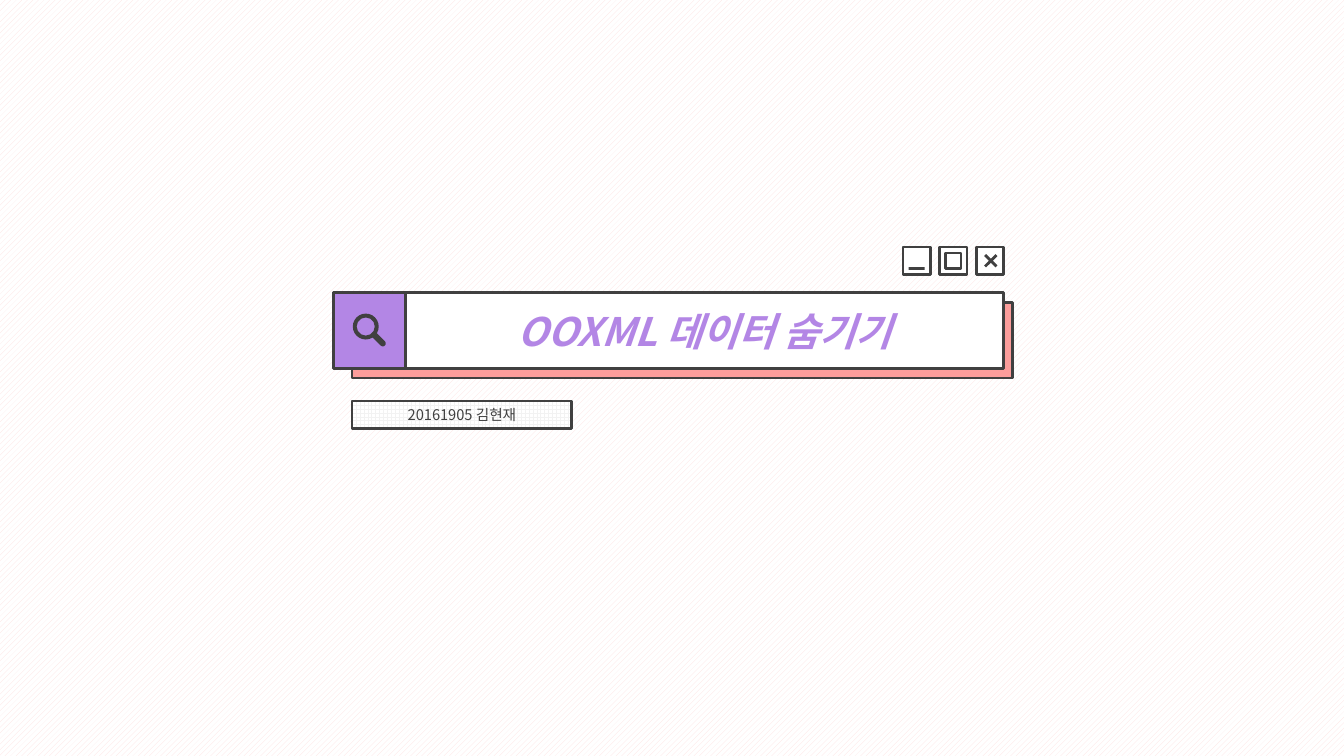
import pptx
import pptx.util
import pptx.dml.color
import pptx.enum.dml
import pptx.enum.shapes
import pptx.enum.text
import lxml.etree

TITLE = "OOXML 데이터 숨기기"
AUTHOR = "20161905 김현재"
FONT = "Noto Sans CJK KR"
DARK, WHITE, PURPLE, CORAL = "404040", "FFFFFF", "B386E5", "FB9D9B"

Pt = pptx.util.Pt
Kind = pptx.enum.shapes.MSO_SHAPE
Pat = pptx.enum.dml.MSO_PATTERN

deck = pptx.Presentation()
deck.slide_width, deck.slide_height = Pt(960), Pt(540)
slide = deck.slides.add_slide(deck.slide_layouts[6])


def tint(code):
    return pptx.dml.color.RGBColor.from_string(code)


def weave(fill, style, fore):
    fill.patterned()
    fill.pattern = style
    fill.fore_color.rgb = tint(fore)
    fill.back_color.rgb = tint(WHITE)


def draw(x, y, w, h, color, line=True, turn=0, kind=Kind.RECTANGLE):
    item = slide.shapes.add_shape(kind, Pt(x), Pt(y), Pt(w), Pt(h))
    item.shadow.inherit = False
    item.rotation = turn
    item.fill.solid()
    item.fill.fore_color.rgb = tint(color)
    if line:
        item.line.color.rgb = tint(DARK)
        item.line.width = Pt(2)
    else:
        item.line.fill.background()
    return item


def write(item, text, size, color, strong=False):
    frame = item.text_frame
    frame.word_wrap = True
    frame.vertical_anchor = pptx.enum.text.MSO_ANCHOR.MIDDLE
    para = frame.paragraphs[0]
    para.alignment = pptx.enum.text.PP_ALIGN.CENTER
    run = para.add_run()
    run.text = text
    font = run.font
    font.name, font.size = FONT, Pt(size)
    font.bold = font.italic = strong
    font.color.rgb = tint(color)
    latin = run._r.rPr.find(pptx.oxml.ns.qn("a:latin"))
    east = lxml.etree.Element(pptx.oxml.ns.qn("a:ea"), typeface=FONT)
    latin.addnext(east)


weave(slide.background.fill, Pat.WIDE_UPWARD_DIAGONAL, "FEDFDE")

left, top, side, step = 645, 176.5, 19.5, 26.25
for col in range(3):
    draw(left + col * step, top, side, side, WHITE)
draw(left + step + 4.25, top + 4.25, 11, 11, WHITE)
draw(left + 4, top + 14.25, 11.5, 2, DARK, line=False)
for turn in (45, 315):
    draw(left + 2 * step + 4.5, top + 8.75, 11.5, 2, DARK, line=False, turn=turn)

bar, high, cell = 238.5, 209, 51
draw(251.5, 216, 471.5, 54, CORAL)
draw(bar, high, cell, 54, PURPLE)
title = draw(bar + cell, high, 427.5, 54, WHITE)
write(title, TITLE, 28, PURPLE, strong=True)

ring = draw(252, 224, 18.5, 18.5, DARK, line=False, kind=Kind.DONUT)
ring.adjustments[0] = 0.15
grip = draw(264.25, 240.25, 12.5, 4.25, DARK, line=False, turn=45,
            kind=Kind.ROUNDED_RECTANGLE)
grip.adjustments[0] = 0.5

label = draw(251.5, 286.5, 157, 19.5, WHITE)
weave(label.fill, Pat.LARGE_GRID, "F2F2F2")
write(label, AUTHOR, 10.5, DARK)

deck.save("out.pptx")
